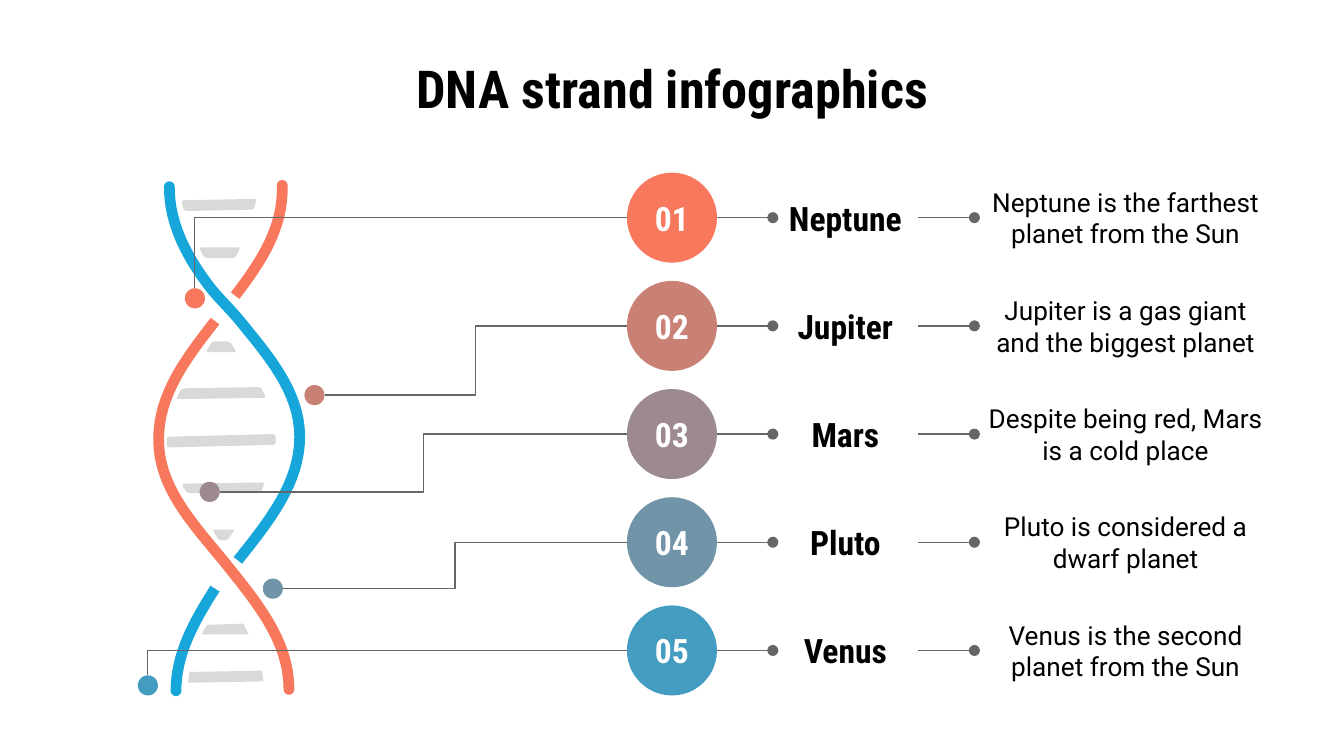
import math
import pptx
import pptx.util
import pptx.dml.color
import pptx.enum.shapes
import pptx.enum.text
import pptx.oxml.ns

INCH = pptx.util.Inches
KIND = pptx.enum.shapes.MSO_SHAPE
JOIN = pptx.enum.shapes.MSO_CONNECTOR
HEAD, BODY = "Roboto Condensed", "Roboto"
BLACK, WHITE, GREY, PALE = "000000", "FFFFFF", "666666", "D9D9D9"
CORAL, BLUE = "F7785C", "17A6DA"

# name, text, colour, centre of the marker on the strand, side where its line ends
PLANETS = [
    ("Neptune", "Neptune is the farthest planet from the Sun", CORAL, (1.45, 2.22), "top"),
    ("Jupiter", "Jupiter is a gas giant and the biggest planet", "CA8175", (2.34, 2.94), "right"),
    ("Mars", "Despite being red, Mars is a cold place", "9D8A8E", (1.56, 3.66), "right"),
    ("Pluto", "Pluto is considered a dwarf planet", "7194A8", (2.03, 4.38), "right"),
    ("Venus", "Venus is the second planet from the Sun", "449DC1", (1.1, 5.1), "top"),
]

# centre lines: a start point, then three Bezier points for each further piece
STRANDS = [
    (CORAL, [(2.1, 1.38), (2.11, 1.69), (1.95, 1.94), (1.75, 2.2)]),
    (CORAL, [(2.15, 5.13), (2.15, 4.76), (1.9, 4.47), (1.66, 4.17),
             (1.42, 3.88), (1.18, 3.62), (1.18, 3.27),
             (1.18, 2.93), (1.39, 2.66), (1.6, 2.39)]),
    (BLUE, [(1.26, 1.39), (1.26, 1.68), (1.4, 1.93), (1.58, 2.16),
            (1.64, 2.23), (1.71, 2.3), (1.77, 2.37),
            (1.99, 2.64), (2.23, 2.91), (2.23, 3.25),
            (2.23, 3.59), (2.01, 3.87), (1.77, 4.17)]),
    (BLUE, [(1.31, 5.14), (1.31, 4.87), (1.44, 4.63), (1.6, 4.38)]),
]

# corner rounding, then the four corners
RUNGS = [
    (0.02, [(1.35, 1.49), (1.91, 1.48), (1.89, 1.56), (1.37, 1.57)]),
    (0.02, [(1.48, 1.84), (1.79, 1.84), (1.75, 1.92), (1.52, 1.92)]),
    (0.02, [(1.53, 2.62), (1.58, 2.54), (1.71, 2.54), (1.76, 2.62)]),
    (0.02, [(1.35, 2.89), (1.94, 2.88), (1.98, 2.96), (1.31, 2.97)]),
    (0.02, [(1.24, 3.25), (2.05, 3.23), (2.05, 3.31), (1.24, 3.33)]),
    (0.02, [(1.35, 3.6), (1.97, 3.59), (1.94, 3.67), (1.39, 3.67)]),
    (0.02, [(1.58, 3.94), (1.75, 3.94), (1.69, 4.02), (1.63, 4.02)]),
    (0, [(1.54, 4.65), (1.81, 4.64), (1.85, 4.72), (1.5, 4.72)]),
    (0, [(1.41, 5), (1.95, 4.99), (1.96, 5.07), (1.4, 5.08)]),
]
WIDE = 10
TALL = WIDE * 9 / 16
WIDTH = 0.08
TOP, BOTTOM = 1.62, 4.84
PITCH = (BOTTOM - TOP) / (len(PLANETS) - 1)
DISC, DOT = 0.67, 0.15
DISC_X, NAME_X, TEXT_X = 5, 5.75, 7.25
NAME_W, TEXT_W = 1.08, 2.25


def color(code):
    return pptx.dml.color.RGBColor.from_string(code)


def write(shape, text, size, face, ink, bold=False):
    frame = shape.text_frame
    frame.word_wrap = True
    frame.auto_size = pptx.enum.text.MSO_AUTO_SIZE.NONE
    frame.vertical_anchor = pptx.enum.text.MSO_ANCHOR.MIDDLE
    frame.margin_left = frame.margin_right = INCH(0.1)
    frame.margin_top = frame.margin_bottom = INCH(0.1)
    frame.text = text
    line = frame.paragraphs[0]
    line.alignment = pptx.enum.text.PP_ALIGN.CENTER
    line.font.size = pptx.util.Pt(size)
    line.font.name = face
    line.font.bold = bold
    line.font.color.rgb = color(ink)


def paint(shape, fill):
    shape.shadow.inherit = False
    shape.fill.solid()
    shape.fill.fore_color.rgb = color(fill)
    shape.line.fill.background()


def label(slide, x, y, w, h, *style):
    box = slide.shapes.add_textbox(INCH(x), INCH(y - h / 2), INCH(w), INCH(h))
    write(box, *style)


def disc(slide, x, y, size, fill):
    shape = slide.shapes.add_shape(
        KIND.OVAL, INCH(x - size / 2), INCH(y - size / 2), INCH(size), INCH(size))
    paint(shape, fill)
    return shape


def link(slide, kind, x1, y1, x2, y2):
    line = slide.shapes.add_connector(kind, INCH(x1), INCH(y1), INCH(x2), INCH(y2))
    line.line.color.rgb = color(GREY)
    line.line.width = pptx.util.Pt(0.75)
    props = line._element.spPr
    props.append(props.makeelement(pptx.oxml.ns.qn("a:effectLst"), {}))
    return line


def stub(slide, x1, x2, y):
    """Short level line that ends in a round dot."""
    pen = link(slide, JOIN.STRAIGHT, x1, y, x2, y).line._get_or_add_ln()
    pen.append(pen.makeelement(pptx.oxml.ns.qn("a:tailEnd"), {"type": "oval"}))


def outline(slide, points, fill):
    spots = [(INCH(x), INCH(y)) for x, y in points]
    pen = slide.shapes.build_freeform(*spots[0], scale=1.0)
    pen.add_line_segments(spots[1:], close=True)
    paint(pen.convert_to_shape(), fill)


def ribbon(curve, steps=16):
    """Outline of a band along a Bezier chain, with a round start and a flat end."""
    left, right = [], []
    for i in range(0, len(curve) - 1, 3):
        a, b, c, d = curve[i:i + 4]
        for n in range(steps + 1):
            t = n / steps
            u = 1 - t
            x, y = (u**3 * a[k] + 3*u*u*t * b[k] + 3*u*t*t * c[k] + t**3 * d[k]
                    for k in (0, 1))
            dx, dy = (u*u * (b[k] - a[k]) + 2*u*t * (c[k] - b[k]) + t*t * (d[k] - c[k])
                      for k in (0, 1))
            size = WIDTH / 2 / math.hypot(dx, dy)
            left.append((x - dy * size, y + dx * size))
            right.append((x + dy * size, y - dx * size))
    x, y = curve[0]
    turn = math.atan2(right[0][1] - y, right[0][0] - x)
    cap = [(x + WIDTH / 2 * math.cos(turn - math.pi * n / 8),
            y + WIDTH / 2 * math.sin(turn - math.pi * n / 8)) for n in range(1, 8)]
    return left + right[::-1] + cap


def rounded(corners, size):
    points = []
    for i, (x, y) in enumerate(corners):
        ends = []
        for px, py in (corners[i - 1], corners[(i + 1) % len(corners)]):
            part = size / math.hypot(px - x, py - y)
            ends.append((x + (px - x) * part, y + (py - y) * part))
        (ax, ay), (bx, by) = ends
        middle = ((ax + 2 * x + bx) / 4, (ay + 2 * y + by) / 4)
        points += [ends[0], middle, ends[1]]
    return points


def main():
    deck = pptx.Presentation()
    deck.slide_width, deck.slide_height = INCH(WIDE), INCH(TALL)
    slide = deck.slides.add_slide(deck.slide_layouts[5])
    title = slide.shapes.title
    title.left, title.top, title.width, title.height = map(INCH, (0.5, 0.45, 9, 0.41))
    write(title, "DNA strand infographics", 28, HEAD, BLACK, True)

    for fill, curve in STRANDS:
        outline(slide, ribbon(curve), fill)
    for size, corners in RUNGS:
        outline(slide, rounded(corners, size) if size else corners, PALE)

    for i, (name, text, fill, (x, y), side) in enumerate(PLANETS):
        row = TOP + i * PITCH
        edge = DISC_X - DISC / 2
        label(slide, NAME_X, row, NAME_W, 0.3, name, 18, HEAD, BLACK, True)
        label(slide, TEXT_X, row, TEXT_W, 0.44, text, 14, BODY, BLACK)
        write(disc(slide, DISC_X, row, DISC, fill), f"{i + 1:02}", 18, HEAD, WHITE, True)
        stub(slide, DISC_X + DISC / 2, NAME_X, row)
        stub(slide, NAME_X + NAME_W, TEXT_X, row)
        if side == "top":
            bend = link(slide, JOIN.ELBOW, edge, row, x, y - DOT / 2)
            bend._element.spPr.prstGeom.set("prst", "bentConnector2")
        else:
            link(slide, JOIN.ELBOW, edge, row, x + DOT / 2, y)
        disc(slide, x, y, DOT, fill)
    deck.save("out.pptx")


if __name__ == "__main__":
    main()
